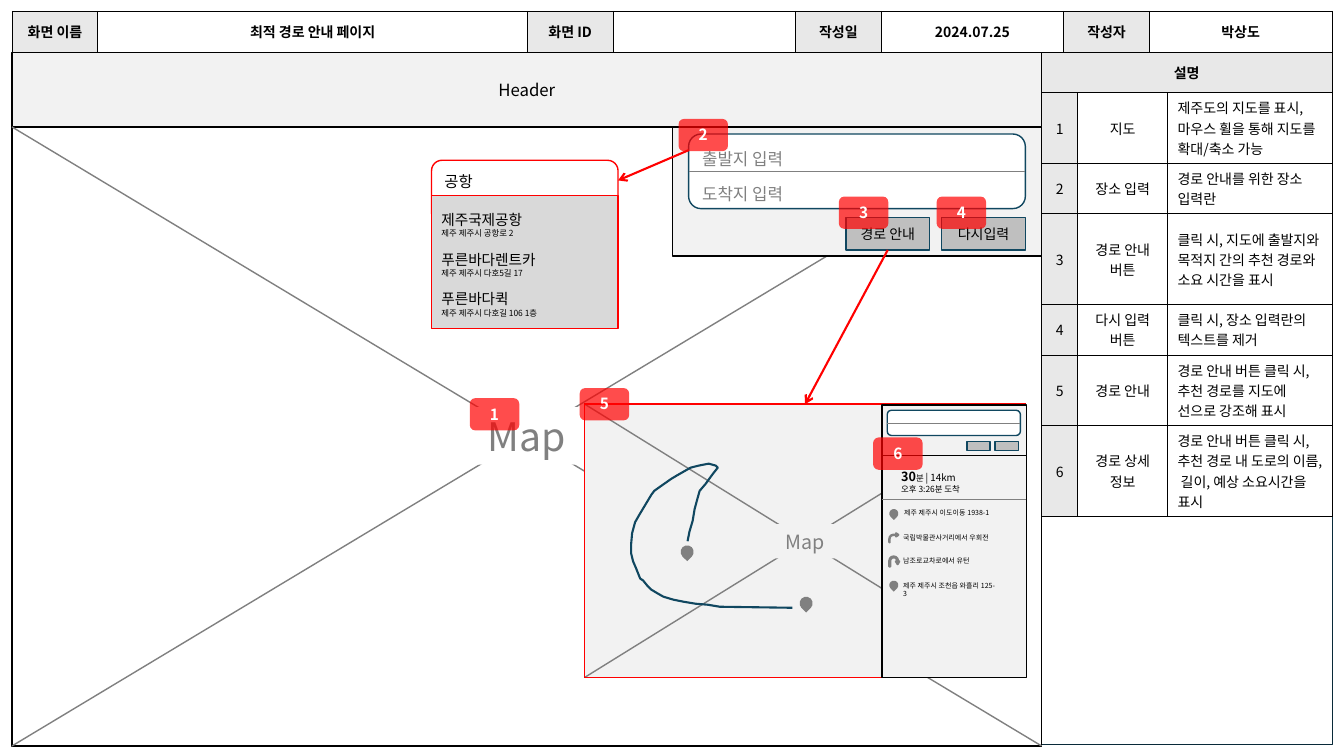
from dataclasses import dataclass
from lxml.etree import SubElement
from pptx import Presentation
from pptx.dml.color import RGBColor
from pptx.enum.shapes import MSO_CONNECTOR, MSO_SHAPE
from pptx.enum.text import MSO_ANCHOR, MSO_AUTO_SIZE, PP_ALIGN
from pptx.oxml.ns import qn
from pptx.util import Pt

PX = 9144
FACE = "Noto Sans CJK KR"
BLACK = RGBColor(0, 0, 0)
WHITE = RGBColor(255, 255, 255)
RED = RGBColor(255, 0, 0)
GRAY = RGBColor(0x80, 0x80, 0x80)
PALE = RGBColor(0xF2, 0xF2, 0xF2)
HEAD = RGBColor(0xE8, 0xE8, 0xE8)
LIST = RGBColor(0xD9, 0xD9, 0xD9)
KEY = RGBColor(0xBF, 0xBF, 0xBF)
TEAL = RGBColor(0x10, 0x47, 0x60)
NAVY = RGBColor(0x09, 0x2A, 0x39)
BLUE = RGBColor(0x15, 0x60, 0x82)
RECT = MSO_SHAPE.RECTANGLE
ROUND = MSO_SHAPE.ROUNDED_RECTANGLE
DROP = MSO_SHAPE.TEAR
MID = MSO_ANCHOR.MIDDLE
TOP = MSO_ANCHOR.TOP


@dataclass
class Run:
    text: str
    size: float
    bold: bool = False


@dataclass
class Para:
    text: str
    size: float = 10
    color: RGBColor = BLACK
    bold: bool = False
    align: PP_ALIGN = PP_ALIGN.CENTER
    pitch: float | Pt | None = None
    gap: float = 0


@dataclass
class Box:
    at: tuple[int, int, int, int]
    fill: RGBColor | None = None
    line: RGBColor | None = None
    width: float = 1
    kind: MSO_SHAPE = RECT
    text: tuple[Para, ...] = ()
    anchor: MSO_ANCHOR = MID
    turn: int = 0
    bends: tuple[float, ...] = ()


def style(font, size: float, color: RGBColor, bold: bool) -> None:
    font.size, font.bold, font.name = Pt(size), bold, FACE
    font.color.rgb = color
    SubElement(font._rPr, qn("a:ea"), typeface=FACE)


def write(frame, paras: tuple[Para, ...]) -> None:
    for i, item in enumerate(paras):
        para = frame.add_paragraph() if i else frame.paragraphs[0]
        para.text, para.alignment = item.text, item.align
        style(para.font, item.size, item.color, item.bold)
        if item.pitch:
            para.line_spacing = item.pitch
        if item.gap:
            para.space_before = Pt(item.gap)


def draw(shapes, box: Box):
    shape = shapes.add_shape(box.kind, *(n * PX for n in box.at))
    shape.shadow.inherit = False
    shape.rotation = box.turn
    for i, bend in enumerate(box.bends):
        shape.adjustments[i] = bend
    if box.fill is None:
        shape.fill.background()
    else:
        shape.fill.solid()
        shape.fill.fore_color.rgb = box.fill
    if box.line is None:
        shape.line.fill.background()
    else:
        shape.line.color.rgb, shape.line.width = box.line, Pt(box.width)
    frame = shape.text_frame
    frame.word_wrap, frame.vertical_anchor = True, box.anchor
    write(frame, box.text)
    return shape


def wire(shapes, ends: tuple[int, int, int, int], color: RGBColor, width: float = 1, arrow: bool = False):
    link = shapes.add_connector(MSO_CONNECTOR.STRAIGHT, *(n * PX for n in ends))
    link.line.color.rgb, link.line.width = color, Pt(width)
    if arrow:
        SubElement(link.line._get_or_add_ln(), qn("a:tailEnd"), type="arrow")
    SubElement(link._element.spPr, qn("a:effectLst"))
    return link


def split(shapes, field, box: Box, width: float) -> None:
    x, y, w, h = box.at
    link = wire(shapes, (x, y + h // 2, x + w, y + h // 2), GRAY, width)
    link.begin_connect(field, 1)
    link.end_connect(field, 3)


def chart(shapes, at: tuple[int, int, int, int], fill: RGBColor, label: tuple[int, int, int, int], size: int) -> None:
    x, y, w, h = at
    draw(shapes, Box(at, fill, BLACK))
    wire(shapes, (x, y + h, x + w, y), GRAY)
    wire(shapes, (x, y, x + w, y + h), GRAY)
    draw(shapes, Box(label, fill, text=(Para("Map", size, GRAY),)))


def badge(shapes, x: int, y: int, num: int) -> None:
    mark = Box((x, y, 49, 32), RED, kind=ROUND, text=(Para(str(num), 11, WHITE, True),), anchor=TOP)
    shape = draw(shapes, mark)
    color = shape._element.spPr.find(qn("a:solidFill"))[0]
    SubElement(color, qn("a:alpha"), val="70000")


def label(shapes, at: tuple[int, int, int, int]):
    frame = shapes.add_textbox(*(n * PX for n in at)).text_frame
    frame.word_wrap, frame.auto_size = False, MSO_AUTO_SIZE.SHAPE_TO_FIT_TEXT
    return frame


def cell(spot, fill: RGBColor | None, paras: tuple[Para, ...]) -> None:
    spot.vertical_anchor = MID
    props = spot._tc.get_or_add_tcPr()
    for side in ("lnL", "lnR", "lnT", "lnB"):
        edge = SubElement(props, qn("a:" + side), w="6350")
        SubElement(SubElement(edge, qn("a:solidFill")), qn("a:srgbClr"), val=str(BLACK))
    if fill is None:
        spot.fill.background()
    else:
        spot.fill.solid()
        spot.fill.fore_color.rgb = fill
    write(spot.text_frame, paras)


def grid(shapes, at: tuple[int, int], cols: list[int], rows: list[int]):
    size = (sum(cols), sum(rows))
    table = shapes.add_table(len(rows), len(cols), *(n * PX for n in at + size)).table
    table.first_row = table.horz_banding = False
    for col, wide in zip(table.columns, cols):
        col.width = wide * PX
    for row, high in zip(table.rows, rows):
        row.height = high * PX
    return table


TITLES = ("화면 이름", "최적 경로 안내 페이지", "화면 ID", "", "작성일", "2024.07.25", "작성자", "박상도")
NOTES = (
    ("지도", "제주도의 지도를 표시,", "마우스 휠을 통해 지도를 확대/축소 가능"),
    ("장소 입력", "경로 안내를 위한 장소 입력란"),
    ("경로 안내 버튼", "클릭 시, 지도에 출발지와 목적지 간의 추천 경로와 소요 시간을 표시"),
    ("다시 입력 버튼", "클릭 시, 장소 입력란의 텍스트를 제거"),
    ("경로 안내", "경로 안내 버튼 클릭 시, 추천 경로를 지도에 선으로 강조해 표시"),
    ("경로 상세 정보", "경로 안내 버튼 클릭 시,", "추천 경로 내 도로의 이름, 길이, 예상 소요시간을 표시"),
)
PLACES = (
    ("제주국제공항", "제주 제주시 공항로 2"),
    ("푸른바다렌트카", "제주 제주시 다호5길 17"),
    ("푸른바다퀵", "제주 제주시 다호길 106 1층"),
)
STEPS = (
    (887, 500, "제주 제주시 이도이동 1938-1"),
    (886, 524, "국립박물관사거리에서 우회전"),
    (886, 547, "남조로교차로에서 유턴"),
    (886, 572, "제주 제주시 조천읍 와흘리 125-3"),
)
ICONS = (
    Box((882, 505, 9, 9), GRAY, kind=DROP, turn=135),
    Box((882, 576, 9, 9), GRAY, kind=DROP, turn=135),
    Box((882, 529, 9, 9), BLACK, GRAY, 1.5, MSO_SHAPE.BENT_ARROW, bends=(0.04, 0.18, 0.25, 0.44)),
    Box((882, 552, 10, 10), BLUE, GRAY, 1.5, MSO_SHAPE.U_TURN_ARROW, bends=(0.1, 0.17, 0.28, 0.44, 0.78)),
    Box((675, 541, 13, 13), GRAY, kind=DROP, turn=135),
    Box((793, 592, 13, 13), GRAY, kind=DROP, turn=135),
)
BADGES = ((466, 395), (673, 118), (832, 195), (929, 195), (575, 385), (866, 434))
ROUTE = (
    (786, 603), (714, 602), (702, 600), (690, 599), (678, 597), (668, 595), (658, 592), (651, 588),
    (646, 585), (642, 581), (638, 576), (635, 574), (633, 569), (631, 564), (628, 557), (626, 549),
    (626, 540), (627, 529), (630, 518), (634, 511), (640, 501), (646, 491), (649, 487), (656, 482),
    (666, 475), (671, 472), (678, 468), (685, 464), (693, 462), (703, 460), (710, 462), (712, 464),
    (708, 469), (705, 473), (700, 480), (694, 487), (692, 494), (689, 505), (687, 517), (684, 527),
    (682, 537),
)


def build() -> None:
    deck = Presentation()
    deck.slide_width, deck.slide_height = 1333 * PX, 750 * PX
    shapes = deck.slides.add_slide(deck.slide_layouts[6]).shapes
    draw(shapes, Box((12, 52, 1021, 688), line=BLACK))
    draw(shapes, Box((12, 11, 1310, 728), line=NAVY, width=0.5))
    bar = grid(shapes, (12, 11), [85, 426] + [85, 181] * 3, [41])
    for i, title in enumerate(TITLES):
        cell(bar.cell(0, i), None if i % 2 else HEAD, (Para(title, bold=True),) if title else ())
    notes = grid(shapes, (1033, 52), [36, 89, 163], [40] * 7)
    notes.cell(0, 0).merge(notes.cell(0, 2))
    cell(notes.cell(0, 0), HEAD, (Para("설명", bold=True),))
    for i, (name, *lines) in enumerate(NOTES, 1):
        cell(notes.cell(i, 0), HEAD, (Para(str(i)),))
        cell(notes.cell(i, 1), None, (Para(name),))
        cell(notes.cell(i, 2), None, tuple(Para(line, align=PP_ALIGN.LEFT) for line in lines))

    draw(shapes, Box((12, 52, 1021, 74), PALE, BLACK, 0.75, text=(Para("Header", 12),)))
    chart(shapes, (12, 126, 1021, 614), WHITE, (136, 404, 773, 57), 28)
    draw(shapes, Box((667, 126, 366, 128), PALE, BLACK))
    hints = (
        Para("출발지 입력", 12, GRAY, align=PP_ALIGN.LEFT, pitch=1.5),
        Para("도착지 입력", 12, GRAY, align=PP_ALIGN.LEFT, pitch=Pt(25)),
    )
    entry = Box((683, 133, 334, 74), WHITE, TEAL, kind=ROUND, text=hints)
    split(shapes, draw(shapes, entry), entry, 1)
    find = draw(shapes, Box((839, 216, 83, 32), KEY, TEAL, text=(Para("경로 안내"),)))
    draw(shapes, Box((934, 216, 83, 32), KEY, TEAL, text=(Para("다시입력"),)))

    query = Para("공항", 11, align=PP_ALIGN.LEFT, pitch=1.2)
    draw(shapes, Box((428, 159, 185, 62), WHITE, RED, kind=ROUND, text=(query,), anchor=TOP))
    found = []
    for i, (name, road) in enumerate(PLACES):
        found.append(Para(name, 10.5, align=PP_ALIGN.LEFT, gap=8.7 if i else 0))
        found.append(Para(road, 6, align=PP_ALIGN.LEFT))
    panel = draw(shapes, Box((428, 194, 185, 132), LIST, RED, text=tuple(found), anchor=TOP))
    panel.text_frame.margin_top = 15 * PX
    panel.text_frame.auto_size = MSO_AUTO_SIZE.TEXT_TO_FIT_SHAPE

    chart(shapes, (580, 401, 437, 271), PALE, (633, 520, 331, 34), 14)
    view = draw(shapes, Box((580, 401, 437, 271), line=RED))
    draw(shapes, Box((875, 402, 143, 50), PALE, BLACK))
    small = Box((880, 407, 132, 25), WHITE, TEAL, kind=ROUND)
    split(shapes, draw(shapes, small), small, 0.25)
    for x in (959, 987):
        draw(shapes, Box((x, 438, 23, 9), KEY, TEAL))
    draw(shapes, Box((875, 452, 143, 220), PALE, BLACK))
    wire(shapes, (875, 495, 1018, 495), GRAY, 0.5)

    trip = label(shapes, (884, 460, 84, 35))
    for part in (Run("30", 9, True), Run("분 ", 6), Run("| 14km", 7)):
        run = trip.paragraphs[0].add_run()
        run.text = part.text
        style(run.font, part.size, BLACK, part.bold)
    last = trip.add_paragraph()
    last.text = "오후 3:26분 도착"
    style(last.font, 6, BLACK, False)
    for x, y, text in STEPS:
        write(label(shapes, (x, y, 113, 19)), (Para(text, 5, align=PP_ALIGN.LEFT),))
    for icon in ICONS:
        draw(shapes, icon)
    pen = shapes.build_freeform(*ROUTE[0], scale=PX)
    pen.add_line_segments(ROUTE[1:], close=False)
    route = pen.convert_to_shape()
    route.shadow.inherit = False
    route.fill.background()
    route.line.color.rgb, route.line.width = TEAL, Pt(1.5)

    for i, (x, y) in enumerate(BADGES, 1):
        badge(shapes, x, y, i)
    wire(shapes, (683, 149, 613, 179), RED, 1.5, True)
    jump = wire(shapes, (880, 248, 799, 401), RED, 1.5, True)
    jump.begin_connect(find, 2)
    jump.end_connect(view, 0)
    deck.save("out.pptx")


if __name__ == "__main__":
    build()
